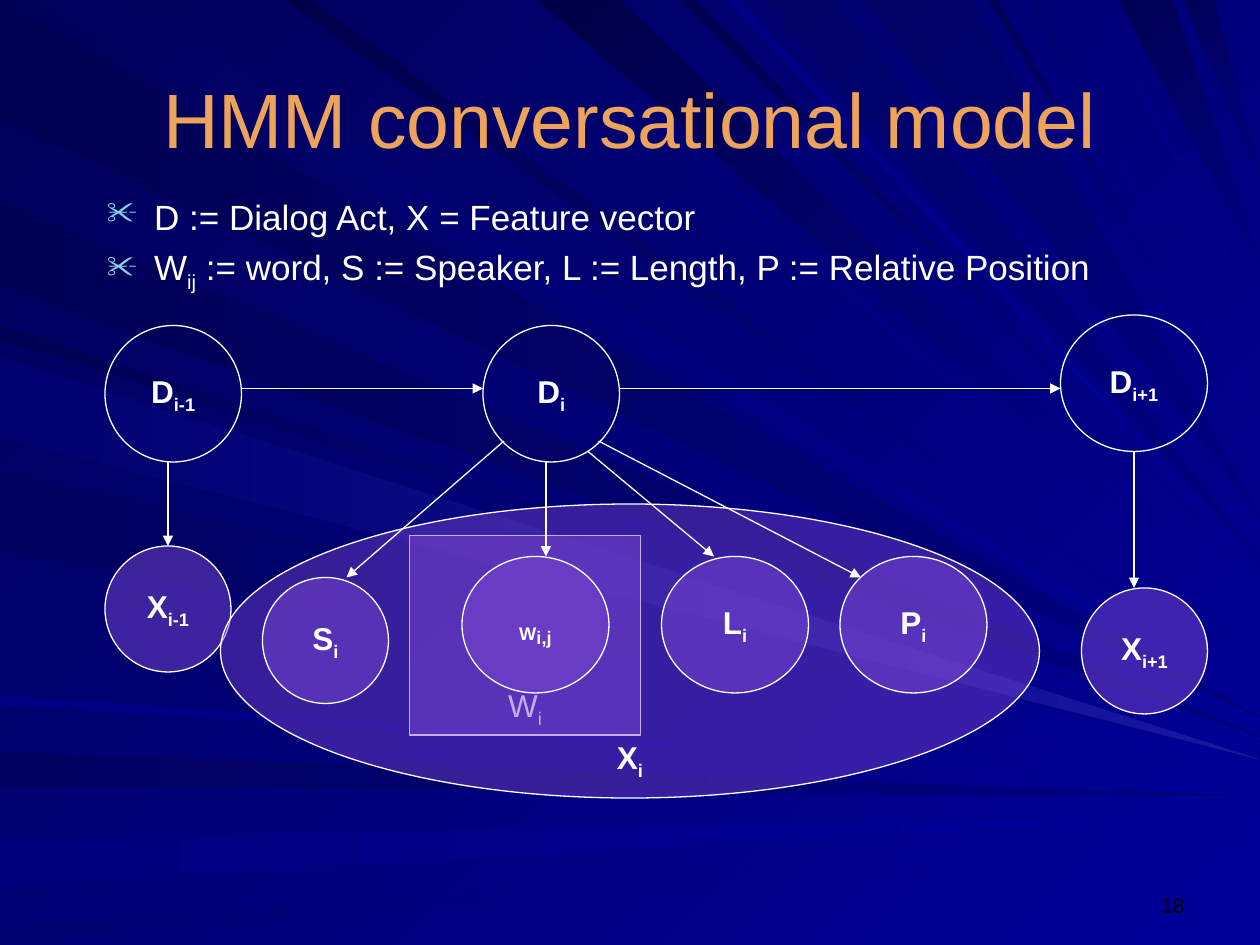
from dataclasses import dataclass

import pptx
import pptx.dml.color
import pptx.enum.shapes
import pptx.enum.text
import pptx.oxml.ns
import pptx.util
from lxml import etree

Pt = pptx.util.Pt
qn = pptx.oxml.ns.qn
ALIGN = pptx.enum.text.PP_ALIGN
ANCHOR = pptx.enum.text.MSO_ANCHOR
SHAPE = pptx.enum.shapes.MSO_SHAPE

WIDTH, HEIGHT = 720, 540
WHITE, VIOLET = "FFFFFF", "7B46D0"
BRIGHT, DIM, PALE = "000099", "000080", "1717A2"
STATE, FEATURE, OBSERVATION = (78, 78), (84, 78), (72, 72)


@dataclass
class Ray:
    """A wedge from a span of the left or top edge to a height on the right edge."""
    edge: str
    near: float
    far: float
    target: float
    start: str
    end: str = BRIGHT


@dataclass
class Run:
    text: str
    baseline: int = 0


@dataclass
class Node:
    left: float
    top: float
    size: tuple[float, float]
    runs: list[Run]
    opacity: int = 50
    kind: int = SHAPE.OVAL
    bold: bool = True
    anchor: int = ANCHOR.MIDDLE


@dataclass
class Arrow:
    start: tuple[float, float]
    end: tuple[float, float]


# Light rays of the background, from back to front
RAYS = [
    Ray("left", 1, 67, 410, "000051", DIM),
    Ray("top", 19, 73, 405, "00005D"),
    Ray("left", 430, 449, 455, "000061", DIM),
    Ray("left", 479, 507, 465, "00007D"),
    Ray("left", 529, 540, 477, "00006F"),
    Ray("left", 186, 194, 424, "000053"),
    Ray("left", 115, 164, 421, "000055", DIM),
    Ray("top", 287, 300, 373, "00006B"),
    Ray("top", 307, 354, 355, "000047"),
    Ray("top", 389, 397, 333, "00004F"),
    Ray("top", 436, 476, 321, "000065", DIM),
    Ray("top", 639, 670, 150, "000055", DIM),
    Ray("top", 676, 694, 101, "000059", DIM),
    Ray("left", 200, 246, 433, "000061"),
    Ray("left", 269, 315, 436, "00005D"),
    Ray("left", 397, 403, 448, "000082"),
    Ray("top", 162, 178, 396, "00004A"),
    Ray("top", 415, 423, 326, "000082"),
    Ray("top", 494, 554, 295, "000065", DIM),
    Ray("top", 565, 570, 257, "000058"),
    Ray("top", 587, 593, 241, "00006F"),
    Ray("top", 623, 628, 182, "000079"),
    Ray("left", 204, 250, 434, "00006F", PALE),
]


def symbol(letter: str, index: str) -> list[Run]:
    return [Run(letter), Run(index, -25)]


# Word box, hidden states, observations and features
WORD_BOX = Node(234, 306, (132, 114), symbol("W", "i"), kind=SHAPE.RECTANGLE, bold=False, anchor=ANCHOR.BOTTOM)
NODES = [
    Node(60, 186, STATE, symbol("D", "i-1"), 0),
    Node(276, 186, STATE, symbol("D", "i"), 0),
    Node(606, 180, FEATURE, symbol("D", "i+1"), 0),
    Node(60, 312, OBSERVATION, symbol("X", "i-1")),
    Node(126, 288, (468, 168), [], 44),
    Node(264, 318, FEATURE, [Run("W", -25), Run("i,j", -40)]),
    Node(378, 318, FEATURE, symbol("L", "i")),
    Node(150, 330, OBSERVATION, symbol("S", "i")),
    Node(480, 318, FEATURE, symbol("P", "i")),
    Node(618, 336, OBSERVATION, symbol("X", "i+1")),
]
ARROWS = [
    Arrow((138, 222), (276, 222)),
    Arrow((354, 222), (606, 222)),
    Arrow((96, 264), (96, 312)),
    Arrow((312, 264), (312, 318)),
    Arrow((288, 252), (198, 330)),
    Arrow((336, 258), (408, 318)),
    Arrow((342, 252), (492, 330)),
    Arrow((648, 258), (648, 336)),
]
BULLETS = [
    [Run("D := Dialog Act, X = Feature vector")],
    symbol("W", "ij") + [Run(" := word, S := Speaker, L := Length, P := Relative Position")],
]


def color(hex_code: str) -> pptx.dml.color.RGBColor:
    return pptx.dml.color.RGBColor.from_string(hex_code)


def fill_gradient(fill, start: str, end: str, angle: int) -> None:
    fill.gradient()
    fill.gradient_angle = -angle % 360
    for stop, hex_code in zip(fill.gradient_stops, (start, end)):
        stop.color.rgb = color(hex_code)


def add_runs(paragraph, runs: list[Run], size: float, hex_code: str = WHITE, bold: bool = False) -> None:
    for item in runs:
        run = paragraph.add_run()
        run.text = item.text
        run.font.name, run.font.size, run.font.bold = "Arial", Pt(size), bold
        run.font.color.rgb = color(hex_code)
        if item.baseline:
            run._r.get_or_add_rPr().set("baseline", str(item.baseline * 1000))


def add_text_box(slide, box: tuple, anchor: int):
    frame = slide.shapes.add_textbox(*map(Pt, box)).text_frame
    frame.word_wrap, frame.vertical_anchor = True, anchor
    return frame


def add_label(slide, box: tuple, anchor: int, align: int, runs: list[Run], size: float,
              hex_code: str = WHITE, bold: bool = False) -> None:
    paragraph = add_text_box(slide, box, anchor).paragraphs[0]
    paragraph.alignment = align
    add_runs(paragraph, runs, size, hex_code, bold)


def add_ray(slide, ray: Ray) -> None:
    from_left = ray.edge == "left"
    corners = [(0, Pt(place)) if from_left else (Pt(place), 0) for place in (ray.near, ray.far)]
    builder = slide.shapes.build_freeform(*corners[0])
    builder.add_line_segments([corners[1], (Pt(WIDTH), Pt(ray.target))], close=True)
    shape = builder.convert_to_shape()
    shape.shadow.inherit = False
    shape.line.fill.background()
    fill_gradient(shape.fill, ray.start, ray.end, 0 if from_left else 45)


def add_node(slide, node: Node) -> None:
    shape = slide.shapes.add_shape(node.kind, *map(Pt, (node.left, node.top, *node.size)))
    shape.shadow.inherit = False
    shape.line.color.rgb, shape.line.width = color(WHITE), Pt(0.75)
    if node.opacity:
        shape.fill.solid()
        shape.fill.fore_color.rgb = color(VIOLET)
        tint = shape._element.spPr.find(qn("a:solidFill"))[0]
        etree.SubElement(tint, qn("a:alpha"), val=str(node.opacity * 1000))
    else:
        shape.fill.background()
    frame = shape.text_frame
    frame.word_wrap, frame.vertical_anchor = False, node.anchor
    frame.paragraphs[0].alignment = ALIGN.CENTER
    add_runs(frame.paragraphs[0], node.runs, 18, bold=node.bold)


def add_arrow(slide, arrow: Arrow) -> None:
    connector = slide.shapes.add_connector(
        pptx.enum.shapes.MSO_CONNECTOR.STRAIGHT, *map(Pt, arrow.start + arrow.end))
    connector.line.color.rgb, connector.line.width = color(WHITE), Pt(0.75)
    properties = connector._element.spPr
    etree.SubElement(properties.find(qn("a:ln")), qn("a:tailEnd"), type="triangle")
    etree.SubElement(properties, qn("a:effectLst"))


def add_bullets(slide) -> None:
    frame = add_text_box(slide, (54, 108, 648, 72), ANCHOR.TOP)
    for index, runs in enumerate(BULLETS):
        paragraph = frame.add_paragraph() if index else frame.paragraphs[0]
        if index:
            paragraph.space_before = Pt(5)
        properties = paragraph._p.get_or_add_pPr()
        properties.set("marL", str(Pt(27)))
        properties.set("indent", str(Pt(-27)))
        bullet_color = etree.SubElement(properties, qn("a:buClr"))
        etree.SubElement(bullet_color, qn("a:srgbClr"), val="86D1EC")
        etree.SubElement(properties, qn("a:buSzPct"), val="90000")
        etree.SubElement(properties, qn("a:buChar"), char="✂")
        add_runs(paragraph, runs, 20)


def main() -> None:
    presentation = pptx.Presentation()
    presentation.slide_width, presentation.slide_height = Pt(WIDTH), Pt(HEIGHT)
    slide = presentation.slides.add_slide(presentation.slide_layouts[6])

    # Background
    fill_gradient(slide.background.fill, "000058", BRIGHT, 45)
    for ray in RAYS:
        add_ray(slide, ray)

    # Title and definitions
    add_node(slide, WORD_BOX)
    add_label(slide, (36, 22, 648, 90), ANCHOR.MIDDLE, ALIGN.CENTER,
              [Run("HMM conversational model")], 44, "EDA359")
    add_bullets(slide)

    # Model diagram
    for node in NODES:
        add_node(slide, node)
    add_label(slide, (324, 420, 72, 28), ANCHOR.MIDDLE, ALIGN.CENTER, symbol("X", "i"), 18, bold=True)
    for arrow in ARROWS:
        add_arrow(slide, arrow)

    # Page number
    add_label(slide, (516, 492, 168, 36), ANCHOR.BOTTOM, ALIGN.RIGHT, [Run("18")], 12, "000000")
    presentation.save("out.pptx")


if __name__ == "__main__":
    main()
